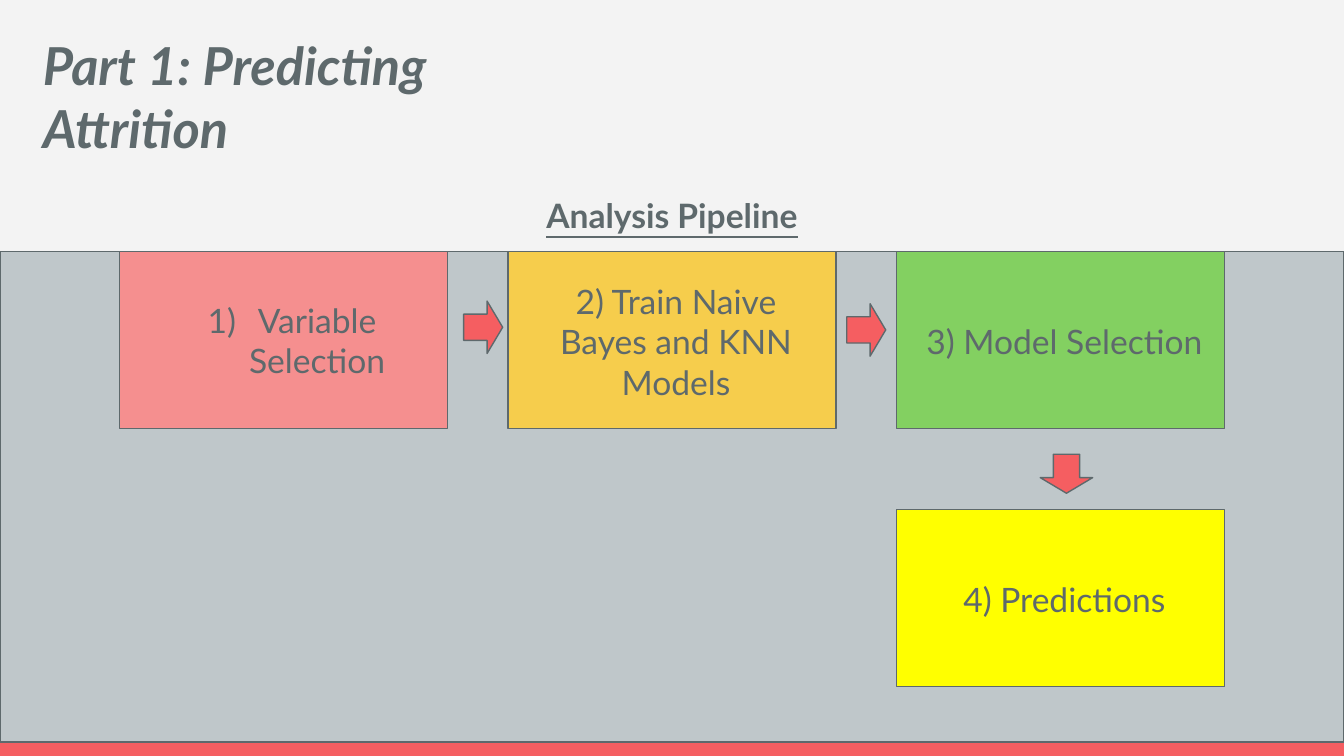
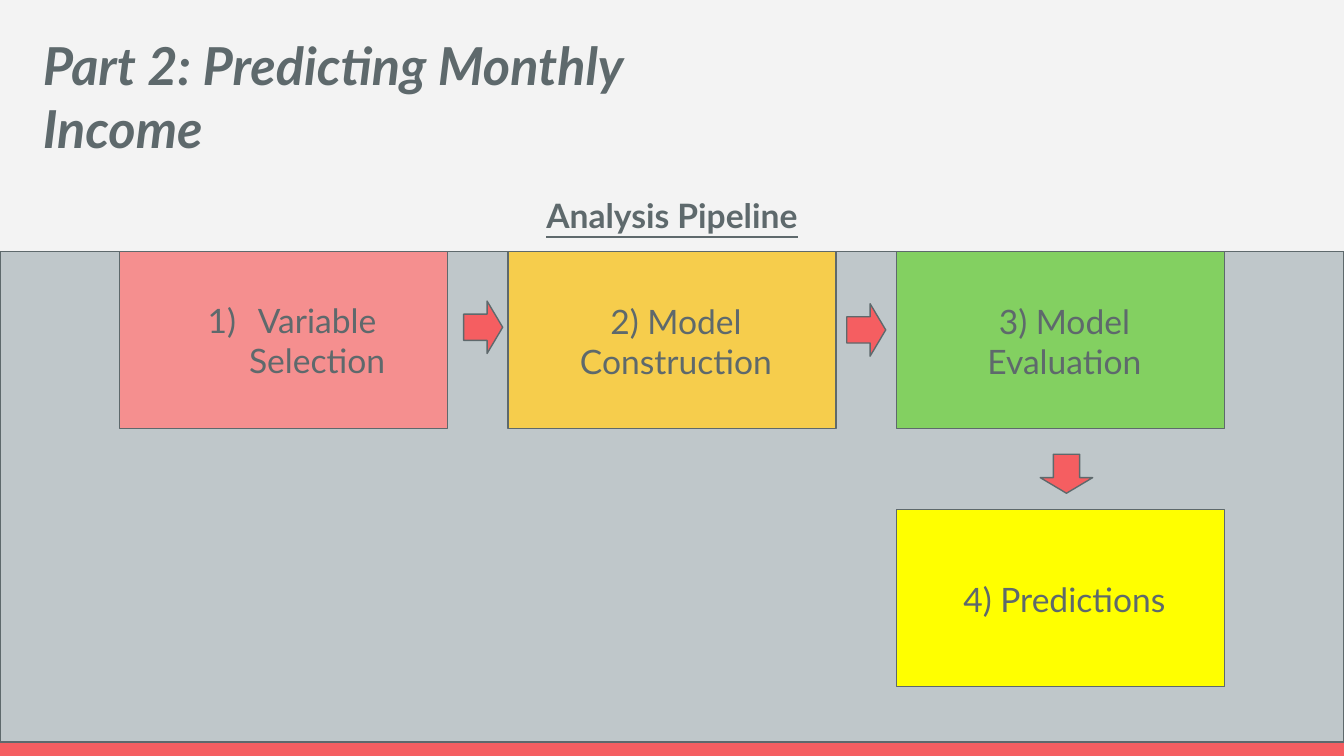
from lxml import etree
from pptx import Presentation
from pptx.dml.color import RGBColor
from pptx.enum.shapes import MSO_SHAPE
from pptx.enum.text import MSO_ANCHOR, PP_ALIGN
from pptx.oxml.ns import qn
from pptx.util import Pt

RECT, ARROW = MSO_SHAPE.RECTANGLE, MSO_SHAPE.RIGHT_ARROW
TOP, MIDDLE = MSO_ANCHOR.TOP, MSO_ANCHOR.MIDDLE
LEFT, CENTER = PP_ALIGN.LEFT, PP_ALIGN.CENTER

PX = 4572
WIDTH, HEIGHT = 2000, 1125
FONT = "Lato"
COLORS = {
    "paper": "F3F3F3", "ink": "5E696C", "panel": "BFC7CA", "accent": "F55E61",
    "pink": "F58F8F", "amber": "F6CD4C", "green": "83D061", "yellow": "FFFF00",
}

PANEL_TOP, PANEL_H = 374, 730
BOX_W, BOX_H = 488, 264
BOX_X, BOX_STEP = 178, 578
PREDICT_TOP = 758
COLUMNS = [BOX_X + i * BOX_STEP for i in range(3)]
ARROWS = [(1260, 452, 0), (690, 448, 0), (1558, 666, 90)]

PARTS = [
    ("Part 1: Predicting Attrition", 792,
     ["2) Train Naive Bayes and KNN Models", "3) Model Selection"]),
    ("Part 2: Predicting Monthly Income", 1052,
     ["2) Model Construction", "3) Model Evaluation"]),
]


def color(name):
    return RGBColor.from_string(COLORS[name])


class Deck:
    """Hold the shared style and the current slide."""

    def __init__(self):
        self.prs = Presentation()
        self.prs.slide_width = WIDTH * PX
        self.prs.slide_height = HEIGHT * PX
        self.s = None

    def slide(self):
        self.s = self.prs.slides.add_slide(self.prs.slide_layouts[6])
        fill = self.s.background.fill
        fill.solid()
        fill.fore_color.rgb = color("paper")
        self.shape(RECT, 0, 1104, WIDTH, HEIGHT - 1104, "accent", line=False)

    def shape(self, kind, x, y, w, h, fill, line=True):
        sp = self.s.shapes.add_shape(kind, x * PX, y * PX, w * PX, h * PX)
        sp.shadow.inherit = False
        sp.fill.solid()
        sp.fill.fore_color.rgb = color(fill)
        if line:
            sp.line.color.rgb = color("ink")
            sp.line.width = Pt(0.75)
        else:
            sp.line.fill.background()
        return sp

    def text(self, text, x, y, w, h, size=18, bold=False, italic=False,
             underline=False, align=CENTER, anchor=TOP, numbered=False):
        sp = self.s.shapes.add_textbox(x * PX, y * PX, w * PX, h * PX)
        tf = sp.text_frame
        tf.word_wrap = True
        tf.vertical_anchor = anchor
        tf.margin_left = tf.margin_right = 20 * PX
        tf.margin_top = tf.margin_bottom = 20 * PX
        p = tf.paragraphs[0]
        p.alignment = align
        r = p.add_run()
        r.text = text
        r.font.name, r.font.size = FONT, Pt(size)
        r.font.bold, r.font.italic, r.font.underline = bold, italic, underline
        r.font.color.rgb = color("ink")
        if numbered:
            self.number(p)

    def number(self, p):
        pPr = p._p.get_or_add_pPr()
        pPr.set("marL", str(100 * PX))
        pPr.set("indent", str(-75 * PX))
        clr = etree.SubElement(pPr, qn("a:buClr"))
        etree.SubElement(clr, qn("a:srgbClr"), val=COLORS["ink"])
        etree.SubElement(pPr, qn("a:buFont"), typeface=FONT)
        etree.SubElement(pPr, qn("a:buAutoNum"), type="arabicParenR")

    def box(self, text, x, y, fill, numbered=False):
        self.shape(RECT, x, y, BOX_W, BOX_H, fill)
        if numbered:
            self.text(text, x, y, BOX_W, BOX_H, anchor=MIDDLE, numbered=True)
        else:
            self.text(text, x + 17, y + 29, 466, 210, anchor=MIDDLE)

    def arrow(self, x, y, rotation):
        sp = self.shape(ARROW, x, y, 58, 78, "accent")
        sp.adjustments[0], sp.adjustments[1] = 0.5, 0.4
        sp.rotation = rotation

    def pipeline(self, title, title_w, steps):
        self.slide()
        self.text(title, 44, 30, title_w, 308, size=28, bold=True,
                  italic=True, align=LEFT)
        self.text("Analysis Pipeline", 534, 270, 932, 228, bold=True,
                  underline=True)
        self.shape(RECT, 0, PANEL_TOP, WIDTH, PANEL_H, "panel")
        self.box("Variable Selection", COLUMNS[0], PANEL_TOP, "pink",
                 numbered=True)
        for step, x, fill in zip(steps, COLUMNS[1:], ("amber", "green")):
            self.box(step, x, PANEL_TOP, fill)
        self.box("4) Predictions", COLUMNS[2], PREDICT_TOP, "yellow")
        for arrow in ARROWS:
            self.arrow(*arrow)


def main():
    deck = Deck()
    for part in PARTS:
        deck.pipeline(*part)
    deck.prs.save("out.pptx")


if __name__ == "__main__":
    main()
